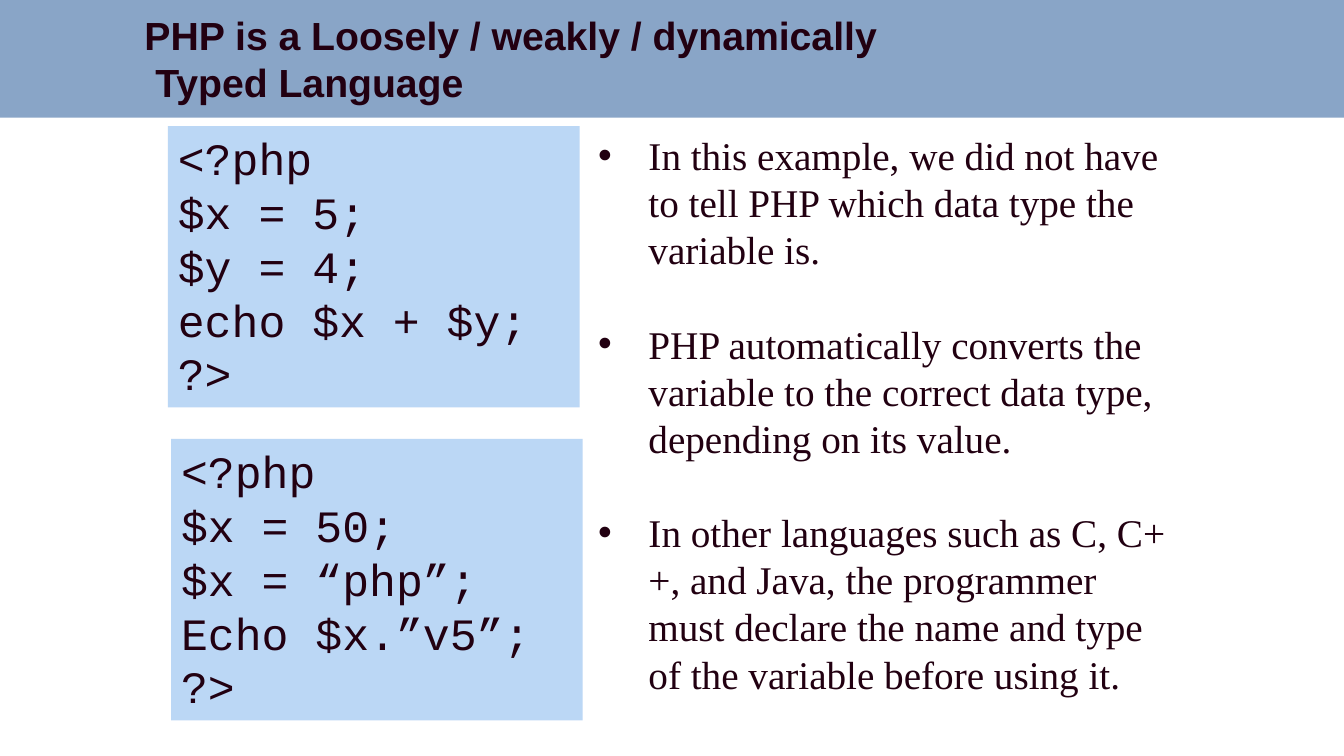
from dataclasses import dataclass

from lxml import etree
from pptx import Presentation
from pptx.dml.color import RGBColor
from pptx.enum.shapes import MSO_SHAPE
from pptx.enum.text import MSO_ANCHOR, MSO_AUTO_SIZE, PP_ALIGN
from pptx.oxml.ns import qn
from pptx.util import Emu, Pt

RECT = MSO_SHAPE.RECTANGLE
TOP, MIDDLE = MSO_ANCHOR.TOP, MSO_ANCHOR.MIDDLE
LEFT = PP_ALIGN.LEFT
NO_FIT = MSO_AUTO_SIZE.NONE
PX = 9525  # EMU per px, 96 px to the inch


@dataclass(frozen=True)
class Theme:
    band: str = "89A5C7"
    code_fill: str = "BBD7F5"
    ink: str = "220011"
    title_font: str = "Arial"
    body_font: str = "Times New Roman"
    code_font: str = "Courier New"
    text_size: int = 28
    code_size: int = 32


def px(n):
    return Emu(n * PX)


def write(p, text, *, font, size, color, bold=False, shadow=False):
    """Fill a left-aligned paragraph; a vertical tab breaks the line."""
    p.text = text
    p.alignment = LEFT
    p.space_before = Pt(0)
    for r in p.runs:
        r.font.name = font
        r.font.size = Pt(size)
        r.font.bold = bold
        r.font.color.rgb = RGBColor.from_string(color)
        if shadow:
            effects = etree.Element(qn("a:effectLst"))
            shade = etree.SubElement(effects, qn("a:outerShdw"), blurRad="38100",
                                     dist="38100", dir="2700000", algn="tl")
            etree.SubElement(shade, qn("a:srgbClr"), val="000000")
            r.font.fill._xPr.find(qn("a:solidFill")).addnext(effects)


class SlideBuilder:
    def __init__(self, prs, theme):
        self.theme = theme
        self.s = prs.slides.add_slide(prs.slide_layouts[1])

    def place(self, sp, box, anchor=TOP):
        sp.left, sp.top, sp.width, sp.height = map(px, box)
        tf = sp.text_frame
        tf.word_wrap = True
        tf.auto_size = NO_FIT
        tf.vertical_anchor = anchor
        return tf

    def rect(self, box, fill):
        sp = self.s.shapes.add_shape(RECT, *map(px, box))
        sp.shadow.inherit = False
        sp.fill.solid()
        sp.fill.fore_color.rgb = RGBColor.from_string(fill)
        sp.line.fill.background()
        return sp

    def band(self, box):
        sp = self.rect(box, self.theme.band)
        self.s.shapes._spTree.insert(2, sp._element)  # behind the title

    def title(self, text, box):
        t = self.theme
        tf = self.place(self.s.shapes.title, box, MIDDLE)
        write(tf.paragraphs[0], text, font=t.title_font, size=t.text_size,
              color=t.ink, bold=True, shadow=True)

    def bullets(self, items, box, indent, gap):
        t = self.theme
        tf = self.place(self.s.placeholders[1], box)
        for i, item in enumerate(items):
            p = tf.add_paragraph() if i else tf.paragraphs[0]
            write(p, item, font=t.body_font, size=t.text_size, color=t.ink)
            p.space_after = Pt(gap)
            pPr = p._p.get_or_add_pPr()
            pPr.set("marL", str(px(indent)))
            pPr.set("indent", str(-px(indent)))

    def code(self, lines, box):
        t = self.theme
        tf = self.place(self.rect(box, t.code_fill), box)
        write(tf.paragraphs[0], "\v".join(lines), font=t.code_font,
              size=t.code_size, color=t.ink)


def main():
    prs = Presentation()
    prs.slide_width, prs.slide_height = px(1280), px(720)
    slide = SlideBuilder(prs, Theme())

    # Heading
    slide.band((0, 0, 1280, 112))
    slide.title("PHP is a Loosely / weakly / dynamically\v Typed Language",
                (128, 0, 1152, 112))

    # Code samples
    slide.code(["<?php", "$x = 5;", "$y = 4;", "echo $x + $y;", "?>"],
               (160, 120, 392, 268))
    slide.code(["<?php", "$x = 50;", "$x = “php”;", "Echo $x.”v5”;", "?>"],
               (163, 418, 392, 268))

    # Explanation
    slide.bullets(
        ["In this example, we did not have to tell PHP which data type the variable is.",
         "PHP automatically converts the variable to the correct data type, "
         "depending on its value.",
         "In other languages such as C, C++, and Java, the programmer must declare "
         "the name and type of the variable before using it."],
        (560, 120, 560, 598), indent=48, gap=34)

    prs.save("out.pptx")


if __name__ == "__main__":
    main()
